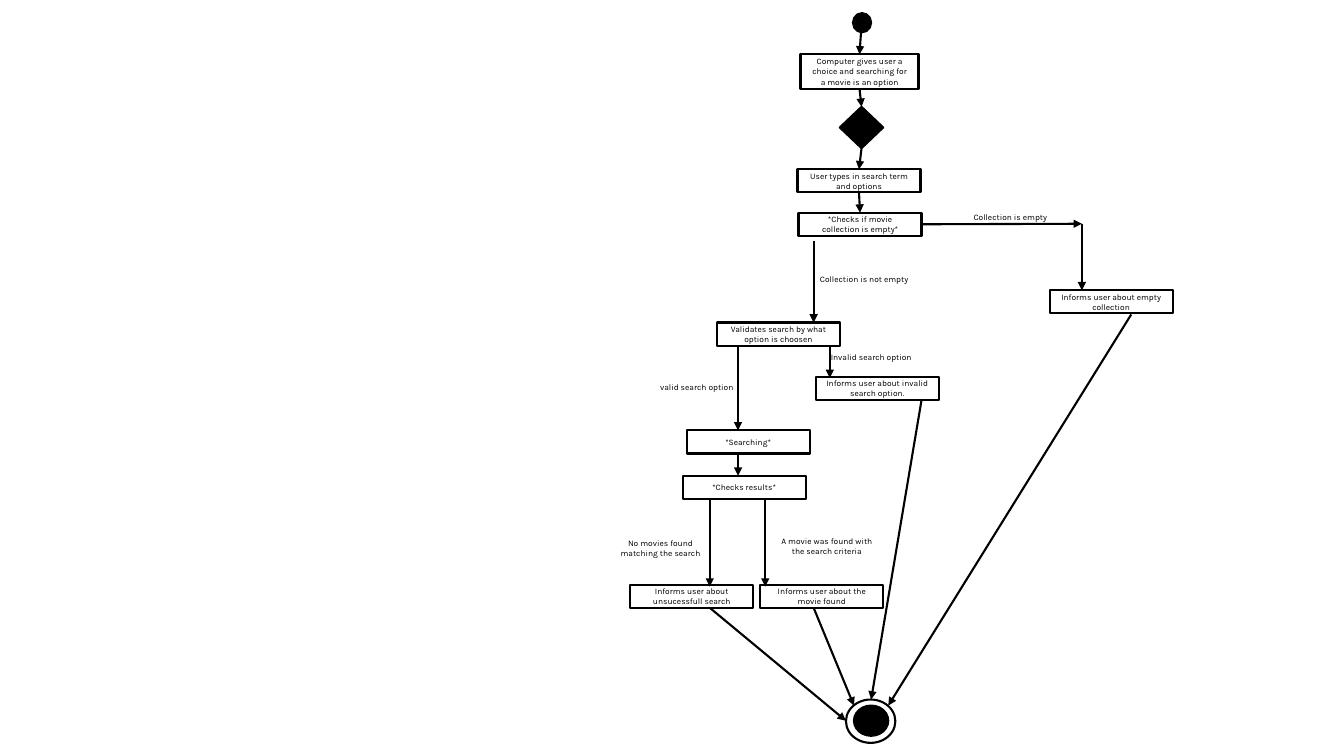
from dataclasses import dataclass

from lxml.etree import SubElement
from pptx import Presentation
from pptx.dml.color import RGBColor as RGB
from pptx.enum.shapes import MSO_CONNECTOR as Link, MSO_SHAPE as Kind
from pptx.enum.text import MSO_ANCHOR as Anchor, PP_ALIGN as Align
from pptx.oxml.ns import qn
from pptx.util import Inches, Pt


@dataclass(frozen=True)
class Theme:
    ink: RGB = RGB(0, 0, 0)
    paper: RGB = RGB(255, 255, 255)
    font: str = "Karla"
    size: Pt = Pt(6)
    line: Pt = Pt(1.5)


THEME = Theme()
TOP, LEFT, BOTTOM, RIGHT = range(4)
WIDE, HIGH = 1.22, 0.23

STEPS = {
    "offer": ("Computer gives user a choice and searching for a movie is an option",
              7.94, 0.54, 1.17, 0.34),
    "term": ("User types in search term and options", 7.91, 1.68),
    "check": ("*Checks if movie collection is empty*", 7.92, 2.11),
    "valid": ("Validates search by what option is choosen", 7.11, 3.2),
    "empty": ("Informs user about empty collection", 10.41, 2.88),
    "wrong": ("Informs user about invalid search option.", 8.09, 3.74),
    "search": ("*Searching*", 6.81, 4.27),
    "result": ("*Checks results*", 6.77, 4.72),
    "none": ("Informs user about unsucessfull search", 6.25, 5.8),
    "found": ("Informs user about the movie found", 7.54, 5.8),
}

LABELS = [
    ("Collection is empty", 9.41, 2.04),
    ("Collection is not empty", 7.96, 2.65),
    ("Invalid search option", 8.03, 3.43),
    ("valid search option", 6.3, 3.73),
    ("No movies found matching the search", 5.94, 5.32),
    ("A movie was found with the search criteria", 7.59, 5.3),
]

FLOWS = [
    ((8.54, 0.32), ("offer", TOP)),
    (("offer", BOTTOM), ("choice", TOP)),
    (("choice", BOTTOM), ("term", TOP)),
    (("term", BOTTOM), ("check", TOP)),
    (("check", RIGHT), (10.73, 2.22)),
    ((10.73, 2.22), (10.73, 2.88)),
    ((8.07, 2.39), (8.07, 3.2)),
    ((8.23, 3.43), (8.23, 3.75)),
    ((7.32, 3.43), (7.32, 4.27)),
    ((7.32, 4.5), (7.32, 4.72)),
    ((7.04, 4.95), (7.04, 5.82)),
    ((7.59, 4.95), (7.59, 5.82)),
    ((7.04, 6.03), (8.39, 7.15)),
    ((8.07, 6.03), (8.47, 7)),
    ((9.14, 3.97), (8.64, 6.94)),
    ((11.22, 3.12), (8.81, 7)),
]


def write(shape, text):
    frame = shape.text_frame
    frame.word_wrap = True
    frame.vertical_anchor = Anchor.MIDDLE
    para = frame.paragraphs[0]
    para.text = text
    para.alignment = Align.CENTER
    para.font.name = THEME.font
    para.font.size = THEME.size
    para.font.color.rgb = THEME.ink


def draw(slide, kind, fill, *area):
    shape = slide.shapes.add_shape(kind, *map(Inches, area))
    shape.shadow.inherit = False
    if fill is None:
        shape.fill.background()
    else:
        shape.fill.solid()
        shape.fill.fore_color.rgb = fill
    shape.line.color.rgb = THEME.ink
    shape.line.width = THEME.line
    return shape


def step(slide, text, x, y, w=WIDE, h=HIGH):
    box = draw(slide, Kind.RECTANGLE, THEME.paper, x, y, w, h)
    write(box, text)
    return box


def label(slide, text, x, y):
    write(slide.shapes.add_textbox(*map(Inches, (x, y, WIDE, HIGH))), text)


def point(end, nodes):
    if end[0] in nodes:
        return 0, 0
    return tuple(map(Inches, end))


def arrow(slide, nodes, start, end):
    line = slide.shapes.add_connector(
        Link.STRAIGHT, *point(start, nodes), *point(end, nodes))
    for (name, side), join in ((start, line.begin_connect), (end, line.end_connect)):
        if name in nodes:
            join(nodes[name], side)
    line.line.color.rgb = THEME.ink
    line.line.width = THEME.line
    SubElement(line.line._get_or_add_ln(), qn("a:tailEnd"), type="triangle")
    SubElement(line._element.spPr, qn("a:effectLst"))


def main():
    deck = Presentation()
    deck.slide_width = Inches(13.33)
    deck.slide_height = Inches(7.5)
    slide = deck.slides.add_slide(deck.slide_layouts[6])

    draw(slide, Kind.OVAL, THEME.ink, 8.46, 0.13, 0.18, 0.19)
    nodes = {name: step(slide, *data) for name, data in STEPS.items()}
    nodes["choice"] = draw(slide, Kind.DIAMOND, THEME.ink, 8.33, 1.06, 0.43, 0.41)
    draw(slide, Kind.OVAL, THEME.ink, 8.47, 7, 0.34, 0.3)
    draw(slide, Kind.OVAL, None, 8.39, 6.94, 0.49, 0.43)

    for start, end in FLOWS:
        arrow(slide, nodes, start, end)
    for data in LABELS:
        label(slide, *data)

    deck.save("out.pptx")


if __name__ == "__main__":
    main()
